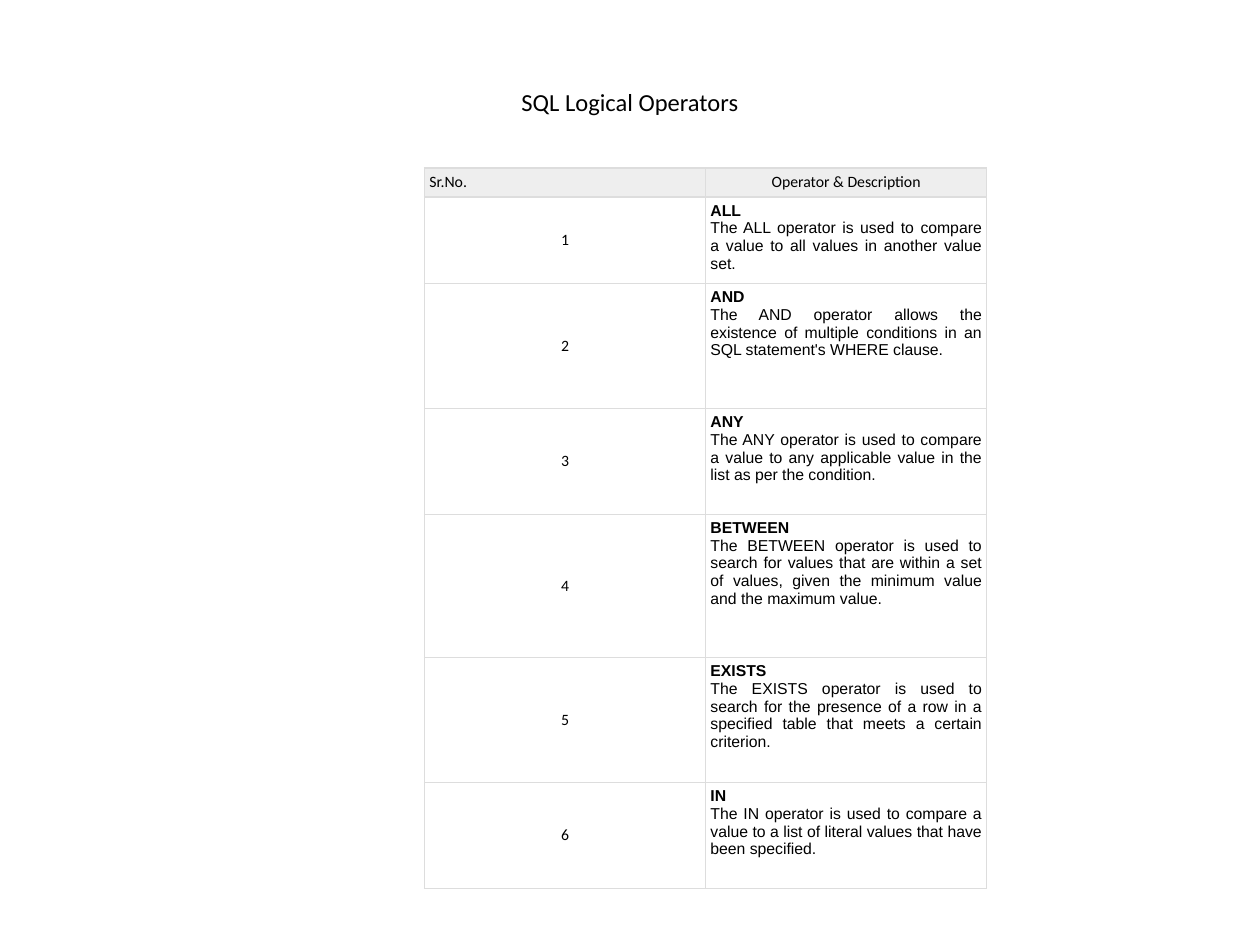
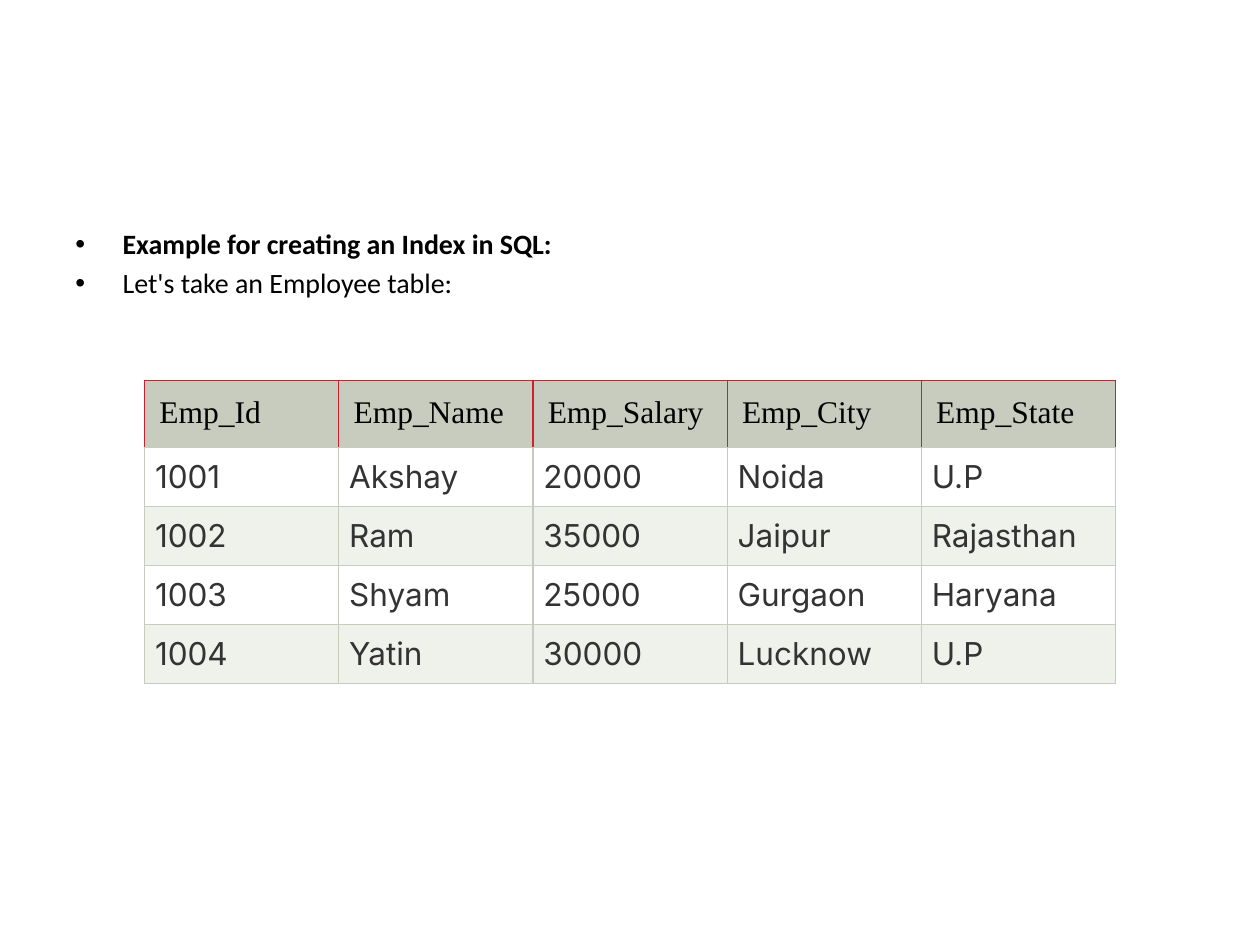
from lxml import etree
from pptx import Presentation
from pptx.dml.color import RGBColor
from pptx.enum.text import MSO_ANCHOR, PP_ALIGN
from pptx.oxml.ns import qn
from pptx.util import Pt

LEFT, CENTER, JUSTIFY = PP_ALIGN.LEFT, PP_ALIGN.CENTER, PP_ALIGN.JUSTIFY
TOP, MIDDLE = MSO_ANCHOR.TOP, MSO_ANCHOR.MIDDLE

COLORS = {
    "black": "000000",
    "ink": "333333",
    "white": "FFFFFF",
    "grey": "EEEEEE",
    "grey_line": "DDDDDD",
    "sage": "C7CCBE",
    "sage_light": "EFF1EB",
    "red": "D01F2F",
}
MARGIN = 36
CONTENT_W = 648


class Deck:
    font = "Calibri"
    line_width = 0.75

    def __init__(self, prs):
        self.prs = prs
        self.s = None

    def new_slide(self):
        self.s = self.prs.slides.add_slide(self.prs.slide_layouts[6])

    def style(self, p, size, font=None, color="black", bold=False, align=LEFT):
        p.alignment = align
        for r in p.runs:
            r.font.size = Pt(size)
            r.font.name = font or self.font
            r.font.bold = bold
            r.font.color.rgb = RGBColor.from_string(COLORS[color])

    def text_box(self, top, height):
        sp = self.s.shapes.add_textbox(Pt(MARGIN), Pt(top), Pt(CONTENT_W), Pt(height))
        tf = sp.text_frame
        tf.word_wrap = True
        return tf

    def title(self, text):
        tf = self.text_box(21.6, 90)
        tf.vertical_anchor = MIDDLE
        tf.margin_bottom = Pt(20.6)
        tf.text = text
        self.style(tf.paragraphs[0], 14, align=CENTER)

    def bullets(self, items, size=16, indent=27):
        tf = self.text_box(126, 356.4)
        tf.text = "\n".join(text for text, _ in items)
        for p, (_, bold) in zip(tf.paragraphs, items):
            self.style(p, size, bold=bold)
            p.space_before = Pt(size * 0.2)
            pPr = p._p.get_or_add_pPr()
            pPr.set("marL", str(Pt(indent)))
            pPr.set("indent", str(-Pt(indent)))
            etree.SubElement(pPr, qn("a:buFont"), typeface="Arial")
            etree.SubElement(pPr, qn("a:buChar"), char="•")

    def table(self, left, top, widths, heights):
        sp = self.s.shapes.add_table(len(heights), len(widths), Pt(left), Pt(top),
                                     Pt(sum(widths)), Pt(sum(heights)))
        table = sp.table
        table.first_row = table.horz_banding = False
        for column, width in zip(table.columns, widths):
            column.width = Pt(width)
        for row, height in zip(table.rows, heights):
            row.height = Pt(height)
        return table

    def cell(self, cell, text, size, inset, line, fill=None, edge=None,
             anchor=TOP, heading=False, **style):
        cell.margin_left = cell.margin_right = Pt(inset)
        cell.margin_top = cell.margin_bottom = Pt(inset)
        cell.vertical_anchor = anchor
        tcPr = cell._tc.get_or_add_tcPr()
        for side in "LRTB":
            color = line if side == "B" else edge or line
            ln = etree.SubElement(tcPr, qn(f"a:ln{side}"), w=str(Pt(self.line_width)))
            solid = etree.SubElement(ln, qn("a:solidFill"))
            etree.SubElement(solid, qn("a:srgbClr"), val=COLORS[color])
        if fill:
            cell.fill.solid()
            cell.fill.fore_color.rgb = RGBColor.from_string(COLORS[fill])
        else:
            cell.fill.background()
        tf = cell.text_frame
        tf.text = text
        for i, p in enumerate(tf.paragraphs):
            self.style(p, size, bold=heading and i == 0, **style)


def operators_slide(deck):
    operators = [
        ("ALL", "The ALL operator is used to compare a value to all values in "
         "another value set.", 49.5),
        ("AND", "The AND operator allows the existence of multiple conditions in "
         "an SQL statement's WHERE clause.", 71.4),
        ("ANY", "The ANY operator is used to compare a value to any applicable "
         "value in the list as per the condition.", 60.4),
        ("BETWEEN", "The BETWEEN operator is used to search for values that are "
         "within a set of values, given the minimum value and the maximum value.", 82),
        ("EXISTS", "The EXISTS operator is used to search for the presence of a "
         "row in a specified table that meets a certain criterion.", 71.4),
        ("IN", "The IN operator is used to compare a value to a list of literal "
         "values that have been specified.", 60.4),
    ]
    deck.new_slide()
    deck.title("SQL Logical Operators")
    table = deck.table(242.6, 96, [160.6] * 2, [16.6] + [h for _, _, h in operators])
    base = {"size": 9, "inset": 2.8, "line": "grey_line"}
    deck.cell(table.cell(0, 0), "Sr.No.", fill="grey", **base)
    deck.cell(table.cell(0, 1), "Operator & Description", fill="grey",
              align=CENTER, **base)
    for i, (name, description, _) in enumerate(operators, 1):
        deck.cell(table.cell(i, 0), str(i), anchor=MIDDLE, align=CENTER, **base)
        deck.cell(table.cell(i, 1), f"{name}\n{description}", heading=True,
                  font="Arial", align=JUSTIFY, **base)


def employees_slide(deck):
    header = ["Emp_Id", "Emp_Name", "Emp_Salary", "Emp_City", "Emp_State"]
    employees = [
        ["1001", "Akshay", "20000", "Noida", "U.P"],
        ["1002", "Ram", "35000", "Jaipur", "Rajasthan"],
        ["1003", "Shyam", "25000", "Gurgaon", "Haryana"],
        ["1004", "Yatin", "30000", "Lucknow", "U.P"],
    ]
    deck.new_slide()
    deck.bullets([("Example for creating an Index in SQL:", True),
                  ("Let's take an Employee table:", False)])
    table = deck.table(82.6, 217.3, [111] * len(header),
                       [37.7] + [33.7] * len(employees))
    base = {"size": 18, "line": "sage"}
    for j, text in enumerate(header):
        deck.cell(table.cell(0, j), text, inset=8.5, fill="sage", edge="red",
                  font="Times New Roman", **base)
    for i, employee in enumerate(employees, 1):
        fill = "white" if i % 2 else "sage_light"
        for j, text in enumerate(employee):
            deck.cell(table.cell(i, j), text, inset=6, fill=fill, font="Inter",
                      color="ink", align=JUSTIFY, **base)


prs = Presentation()
prs.slide_width, prs.slide_height = Pt(720), Pt(540)
deck = Deck(prs)
operators_slide(deck)
employees_slide(deck)
prs.save("out.pptx")
